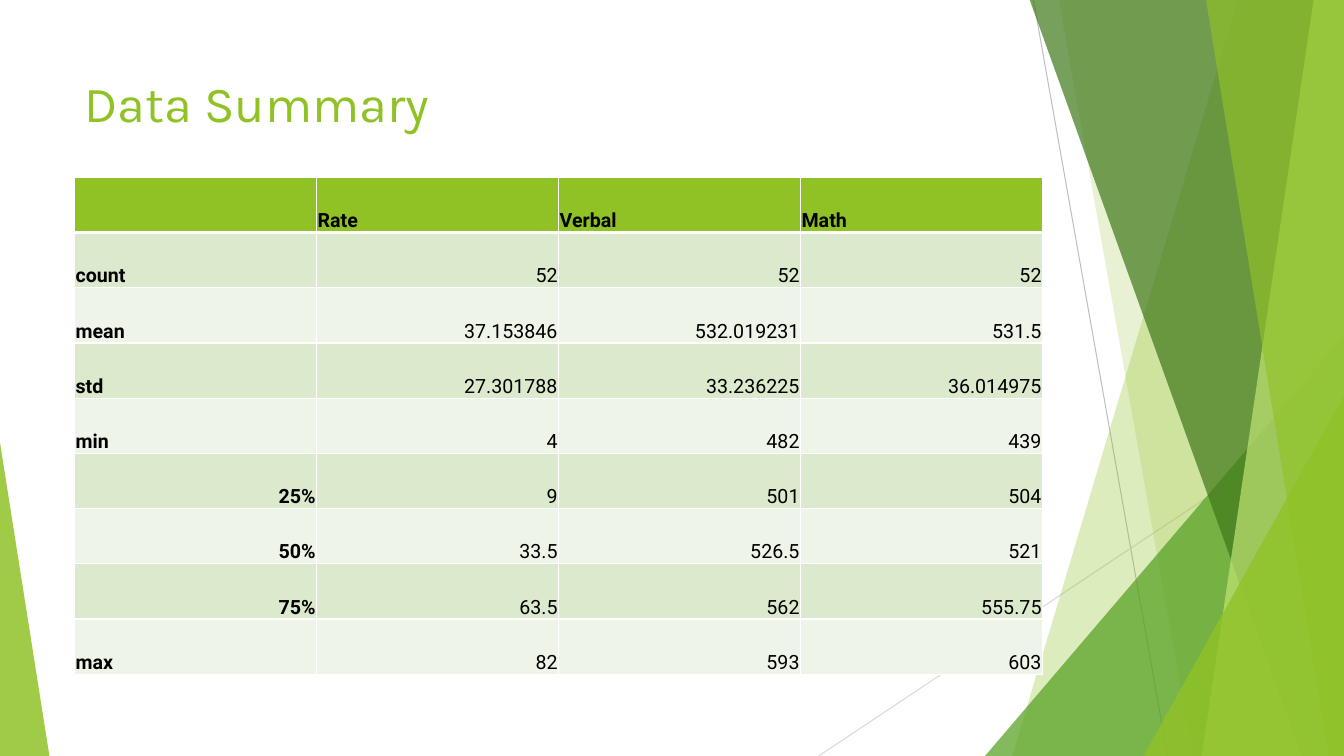
import pptx
import pptx.dml.color
import pptx.enum.shapes
import pptx.enum.text
import pptx.oxml
import pptx.oxml.ns
import pptx.util
from lxml import etree

Inches = pptx.util.Inches
Pt = pptx.util.Pt
MSO_SHAPE = pptx.enum.shapes.MSO_SHAPE
ALIGN = pptx.enum.text.PP_ALIGN
ANCHOR = pptx.enum.text.MSO_ANCHOR
qn = pptx.oxml.ns.qn

GREEN = "90C226"
WHITE = "FFFFFF"
STRIPES = ("DBE9CD", "EEF4E8")
SUMMARY = [
    ["", "Rate", "Verbal", "Math"],
    ["count", "52", "52", "52"],
    ["mean", "37.153846", "532.019231", "531.5"],
    ["std", "27.301788", "33.236225", "36.014975"],
    ["min", "4", "482", "439"],
    ["25%", "9", "501", "504"],
    ["50%", "33.5", "526.5", "521"],
    ["75%", "63.5", "562", "555.75"],
    ["max", "82", "593", "603"],
]


def rgb(color):
    return pptx.dml.color.RGBColor.from_string(color)


def paint(shape, color, opacity):
    shape.shadow.inherit = False
    shape.fill.solid()
    shape.fill.fore_color.rgb = rgb(color)
    shape.line.fill.background()
    color_element = shape.fill._xPr.find(qn("a:solidFill"))[0]
    etree.SubElement(color_element, qn("a:alpha"), val=str(opacity * 1000))


def add_thin_line(slide, start, end, color):
    line = slide.shapes.add_connector(
        pptx.enum.shapes.MSO_CONNECTOR.STRAIGHT,
        Inches(start[0]), Inches(start[1]), Inches(end[0]), Inches(end[1]))
    line.line.color.rgb = rgb(color)
    line.line.width = Pt(0.75)
    etree.SubElement(line._element.spPr, qn("a:effectLst"))


def add_band(slide, top_x, bottom_x, right, top, bottom, color, opacity):
    corners = [(top_x, top), (right, top), (right, bottom), (bottom_x, bottom)]
    points = [(Inches(x), Inches(y)) for x, y in corners]
    builder = slide.shapes.build_freeform(*points[0], scale=1.0)
    builder.add_line_segments(points[1:], close=True)
    paint(builder.convert_to_shape(), color, opacity)


def add_triangle(slide, left, top, width, height, apex, color, opacity):
    triangle = slide.shapes.add_shape(
        MSO_SHAPE.ISOSCELES_TRIANGLE,
        Inches(left), Inches(top), Inches(width), Inches(height))
    triangle.adjustments[0] = apex
    paint(triangle, color, opacity)


def add_right_facets(slide, left, top, width, height):
    right, bottom = left + width, top + height

    def band(top_offset, bottom_offset, color, opacity):
        add_band(slide, left + top_offset, left + bottom_offset,
                 right, top - 0.01, bottom, color, opacity)

    def corner(offset, rise, color, opacity):
        add_triangle(slide, left + offset, bottom - rise, width - offset, rise,
                     1, color, opacity)

    add_thin_line(slide, (left + 2.13, top), (left + 3.46, bottom), "BFBFBF")
    add_thin_line(slide, (right, top + 4.03), (left, bottom), "D9D9D9")
    band(4.16, 1.92, GREEN, 30)
    band(2.38, 3.71, GREEN, 20)
    corner(1.65, 4.17, "54A021", 72)
    band(2.09, 4.79, "3F7819", 70)
    band(4.91, 3.8, "C0E474", 70)
    band(3.84, 5.06, GREEN, 65)
    corner(3.22, 3.57, GREEN, 80)


def add_title(slide, left, top, width, height):
    title = slide.shapes.title
    title.left, title.top = Inches(left), Inches(top)
    title.width, title.height = Inches(width), Inches(height)
    frame = title.text_frame
    frame.text = "Data Summary"
    frame.word_wrap = True
    frame.vertical_anchor = ANCHOR.TOP
    paragraph = frame.paragraphs[0]
    paragraph.alignment = ALIGN.LEFT
    font = paragraph.runs[0].font
    font.name, font.size, font.color.rgb = "Karla", Pt(36), rgb(GREEN)


def set_borders(cell, top_width, bottom_width):
    properties = cell._tc.get_or_add_tcPr()
    for side, width in (("L", 1), ("R", 1), ("T", top_width), ("B", bottom_width)):
        border = etree.SubElement(properties, qn(f"a:ln{side}"), w=str(Pt(width)))
        fill = etree.SubElement(border, qn("a:solidFill"))
        etree.SubElement(fill, qn("a:srgbClr"), val=WHITE)


def fill_cell(cell, text, row, column):
    set_borders(cell, 3 if row == 1 else 1, 3 if row == 0 else 1)
    cell.fill.solid()
    cell.fill.fore_color.rgb = rgb(STRIPES[(row - 1) % 2] if row else GREEN)
    cell.margin_left = cell.margin_right = cell.margin_top = Inches(0.01)
    cell.margin_bottom = 0
    cell.vertical_anchor = ANCHOR.BOTTOM
    cell.text_frame.text = text
    paragraph = cell.text_frame.paragraphs[0]
    is_number = row > 0 and text[0].isdigit()
    paragraph.alignment = ALIGN.RIGHT if is_number else ALIGN.LEFT
    font = paragraph.font
    font.name, font.size, font.color.rgb = "Roboto", Pt(14), rgb("000000")
    font.bold = row == 0 or column == 0
    for run in paragraph.runs:
        run.font.name, run.font.size = font.name, font.size
        run.font.color.rgb, run.font.bold = rgb("000000"), font.bold


def add_summary_table(slide, left, top, width, height):
    table = slide.shapes.add_table(
        len(SUMMARY), len(SUMMARY[0]),
        Inches(left), Inches(top), Inches(width), Inches(height)).table
    for row, texts in enumerate(SUMMARY):
        for column, text in enumerate(texts):
            fill_cell(table.cell(row, column), text, row, column)


def main():
    presentation = pptx.Presentation()
    presentation.slide_width = Inches(13.33)
    presentation.slide_height = Inches(7.5)
    slide = presentation.slides.add_slide(presentation.slide_layouts[5])
    add_right_facets(slide, 8.12, 0, 5.21, 7.5)
    add_triangle(slide, 0, 4.39, 0.49, 3.11, 0, GREEN, 85)
    add_title(slide, 0.74, 0.67, 9.4, 1.44)
    add_summary_table(slide, 0.74, 1.76, 9.6, 4.93)
    presentation.save("out.pptx")


if __name__ == "__main__":
    main()
